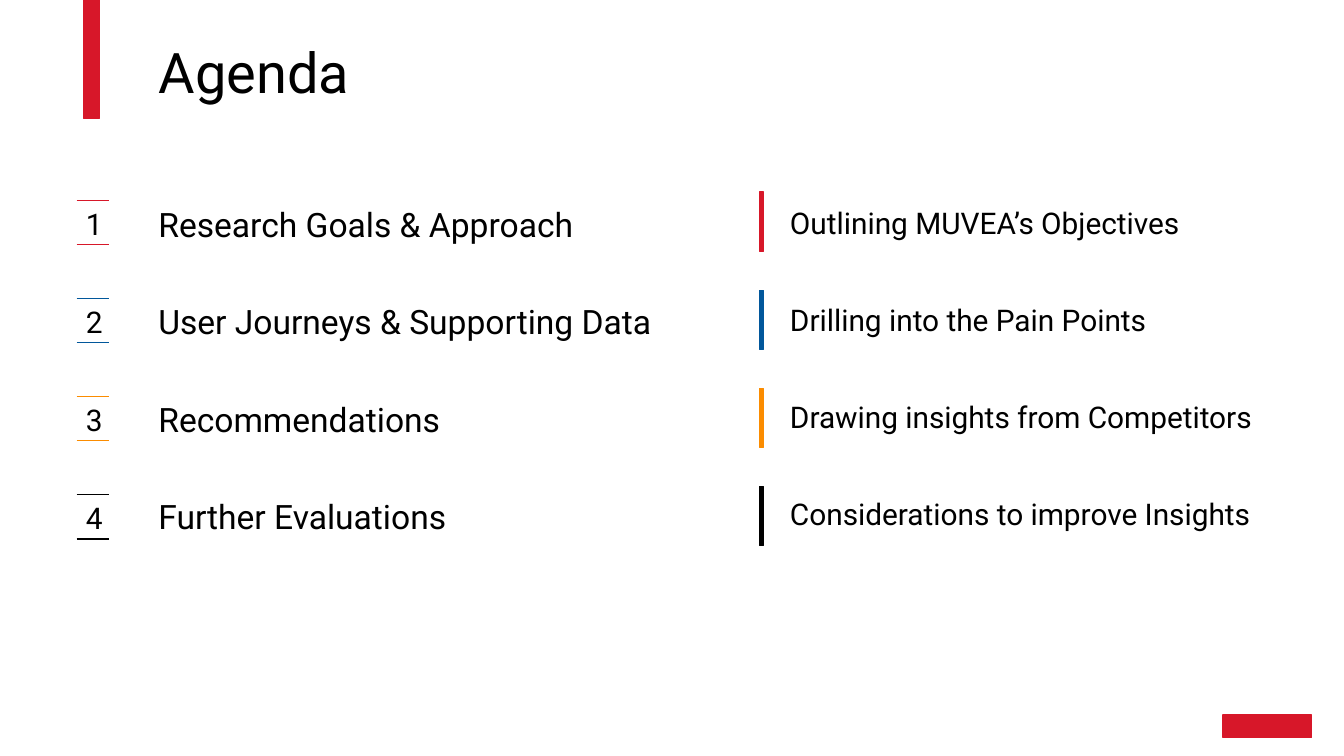
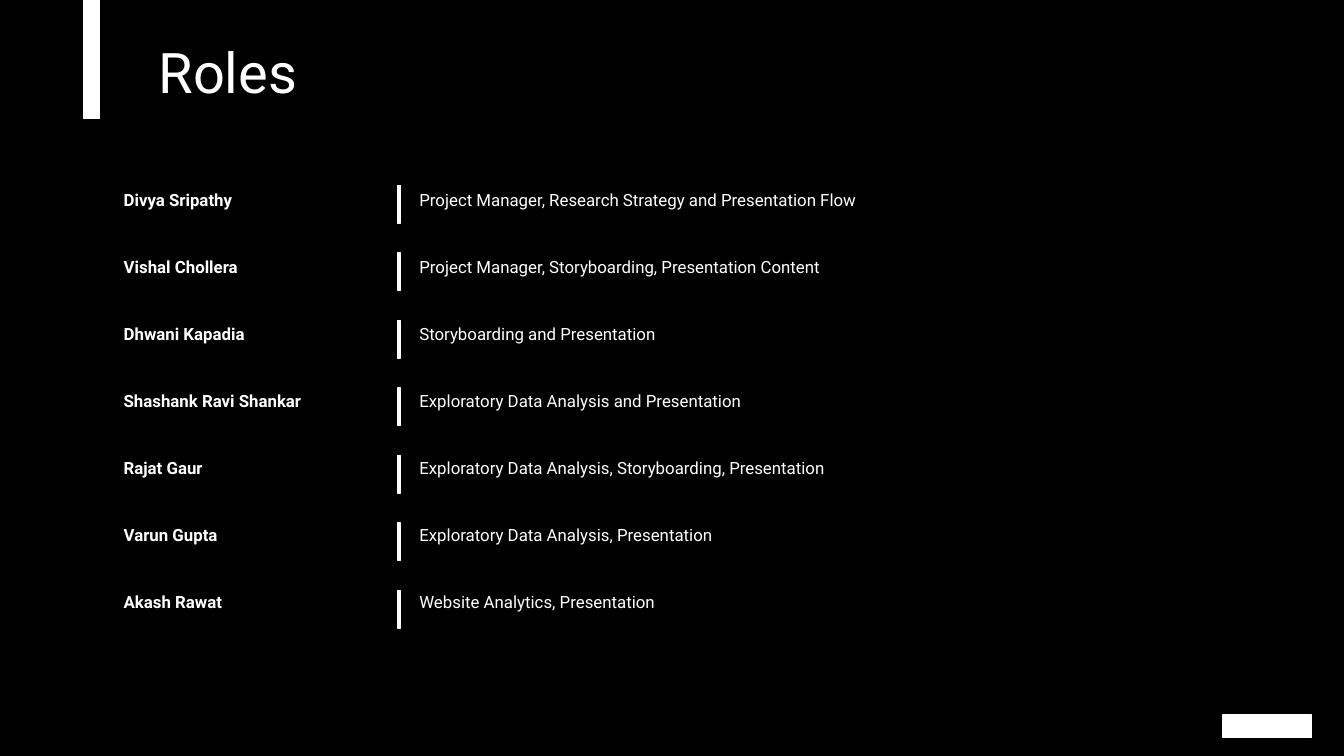
"""Build the agenda and roles slides on a grid of 100 columns."""
from pptx import Presentation
from pptx.dml.color import RGBColor
from pptx.enum.shapes import MSO_CONNECTOR, MSO_SHAPE
from pptx.enum.text import MSO_ANCHOR, MSO_AUTO_SIZE, PP_ALIGN
from pptx.oxml.ns import qn
from pptx.util import Inches, Pt
from lxml.etree import SubElement

RED, BLUE, GOLD = "D71729", "01579B", "FB8C00"
BLACK, WHITE = "000000", "FFFFFF"
FONT = "Roboto"
PLAIN = "{2D5ABB26-0587-4C30-8999-92F81FD0307C}"
hue = RGBColor.from_string

deck = Presentation()
deck.slide_width, deck.slide_height = Inches(10), Inches(5.625)
UNIT = deck.slide_width / 100


def write(host, text, size, ink, bold=False, align=PP_ALIGN.LEFT, pad=1):
    """Fill a text frame or table cell with one run of text."""
    host.margin_left = host.margin_right = round(pad * UNIT)
    host.margin_top = host.margin_bottom = round(pad * UNIT)
    host.vertical_anchor = MSO_ANCHOR.TOP
    host.word_wrap = True
    para = getattr(host, "text_frame", host).paragraphs[0]
    para.alignment = align
    run = para.add_run()
    run.text = text
    run.font.name, run.font.size, run.font.bold = FONT, Pt(size), bold
    run.font.color.rgb = hue(ink)


def bar(slide, grid, ink):
    """Draw a solid bar at a left, top, width and height in grid units."""
    shape = slide.shapes.add_shape(MSO_SHAPE.RECTANGLE, *[round(n * UNIT) for n in grid])
    shape.shadow.inherit = False
    shape.fill.solid()
    shape.fill.fore_color.rgb = shape.line.color.rgb = hue(ink)
    shape.line.width = Pt(0.75)


slides = []
for name, back, ink, mark in [("Agenda", WHITE, BLACK, RED), ("Roles", BLACK, WHITE, WHITE)]:
    slide = deck.slides.add_slide(deck.slide_layouts[5])
    slide.background.fill.solid()
    slide.background.fill.fore_color.rgb = hue(back)
    title = slide.shapes.title
    title.left, title.top, title.width, title.height = [
        round(n * UNIT) for n in (10.8, 1.8, 83.2, 7)]
    title.text_frame.auto_size = MSO_AUTO_SIZE.NONE
    write(title.text_frame, name, 30, ink)
    bar(slide, (6.2, -0.7, 1.2, 9.5), mark)
    bar(slide, (91, 53.2, 6.6, 1.7), mark)
    slides.append(slide)
agenda, roles = slides

topics = [
    ("Research Goals & Approach", "Outlining MUVEA’s Objectives", RED),
    ("User Journeys & Supporting Data", "Drilling into the Pain Points", BLUE),
    ("Recommendations", "Drawing insights from Competitors", GOLD),
    ("Further Evaluations", "Considerations to improve Insights", BLACK),
]
for row, (topic, detail, ink) in enumerate(topics):
    top, mid = 14.2 + 7.23 * row, 14.3 + 7.3 * row
    for text, left, y, wide, size, align in [
        (str(row + 1), 5.4, mid, 2.8, 16, PP_ALIGN.CENTER),
        (topic, 10.8, top, 42, 18, PP_ALIGN.LEFT),
        (detail, 57.8, top, 42, 16, PP_ALIGN.LEFT),
    ]:
        box = agenda.shapes.add_textbox(*[round(n * UNIT) for n in (left, y, wide, 4.7)])
        write(box.text_frame, text, size, BLACK, align=align)
    for y in (mid + 0.6, mid + 3.9):
        rule = agenda.shapes.add_connector(
            MSO_CONNECTOR.STRAIGHT, *[round(n * UNIT) for n in (5.7, y, 8.1, y)])
        rule.line.color.rgb = hue(ink)
        rule.line.width = Pt(0.75)
        SubElement(rule._element.spPr, qn("a:effectLst"))
    bar(agenda, (56.5, mid, 0.3, 4.4), ink)

team = [
    ("Divya Sripathy", "Project Manager, Research Strategy and Presentation Flow"),
    ("Vishal Chollera", "Project Manager, Storyboarding, Presentation Content"),
    ("Dhwani Kapadia", "Storyboarding and Presentation"),
    ("Shashank Ravi Shankar", "Exploratory Data Analysis and Presentation"),
    ("Rajat Gaur", "Exploratory Data Analysis, Storyboarding, Presentation"),
    ("Varun Gupta", "Exploratory Data Analysis, Presentation"),
    ("Akash Rawat", "Website Analytics, Presentation"),
]
table = roles.shapes.add_table(
    len(team), 2, *[round(n * UNIT) for n in (8.7, 13.7, 81.3, 34.9)]).table
table.first_row = table.horz_banding = False
table._tbl.tblPr.find(qn("a:tableStyleId")).text = PLAIN
for col, wide in zip(table.columns, (22, 59.3)):
    col.width = round(wide * UNIT)
for row, words in enumerate(team):
    table.rows[row].height = round(34.9 / len(team) * UNIT)
    for col, text in enumerate(words):
        cell = table.cell(row, col)
        cell.fill.background()
        write(cell, text, 9, WHITE, bold=col == 0, pad=0.5)
    bar(roles, (29.6, 13.8 + 5.02 * row, 0.2, 2.8), WHITE)

deck.save("out.pptx")
